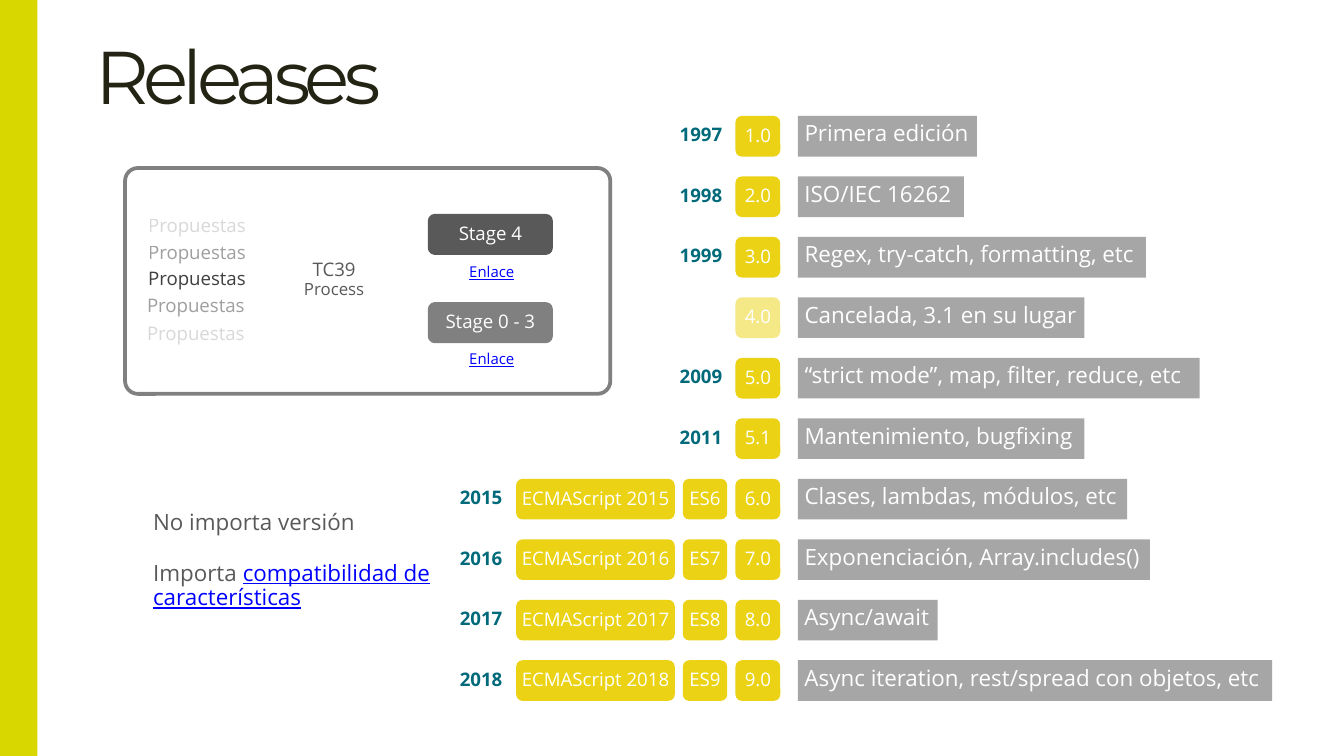
import pptx
import pptx.dml.color
import pptx.enum.shapes
import pptx.enum.text
import pptx.oxml
import pptx.oxml.ns
import pptx.util

Pt = pptx.util.Pt
RGB = pptx.dml.color.RGBColor.from_string
SHAPES = pptx.enum.shapes.MSO_SHAPE
ALIGN = pptx.enum.text.PP_ALIGN
ANCHOR = pptx.enum.text.MSO_ANCHOR

COLORS = {
    "stripe": "D8D800", "title": "242415", "version": "EBD215",
    "feature": "A6A6A6", "year": "006A7B", "white": "FFFFFF",
    "frame": "808080", "dark": "595959", "proposal": "404040", "link": "0000FF",
}
BODY_FONT = "Open Sans"
LINE_SPACING = 0.9
INSET = 3.6


def set_alpha(fill, percent):
    """Make a solid fill partly transparent."""
    color = fill._xPr.find(pptx.oxml.ns.qn("a:solidFill"))[0]
    alpha = pptx.oxml.parse_xml(f'<a:alpha {pptx.oxml.ns.nsdecls("a")}/>')
    alpha.set("val", str(percent * 1000))
    color.append(alpha)


def add_label(box, lines, color, fill=None, kind=None, corner=None, inset=INSET,
              align=ALIGN.CENTER, anchor=ANCHOR.MIDDLE, wrap=True, gap=0):
    """Add a text box or filled shape; each line is a list of (text, font values)."""
    lengths = [Pt(value) for value in box]
    if kind is None:
        shape = slide.shapes.add_textbox(*lengths)
    else:
        shape = slide.shapes.add_shape(kind, *lengths)
        shape.shadow.inherit = False
        shape.line.fill.background()
        shape.fill.solid()
        shape.fill.fore_color.rgb = RGB(COLORS[fill])
        if corner:
            shape.adjustments[0] = corner
    frame = shape.text_frame
    frame_values = {"word_wrap": wrap, "vertical_anchor": anchor}
    for side in ("left", "top", "right", "bottom"):
        frame_values[f"margin_{side}"] = Pt(inset)
    for name, value in frame_values.items():
        setattr(frame, name, value)
    for index, line in enumerate(lines):
        paragraph = frame.add_paragraph() if index else frame.paragraphs[0]
        paragraph.alignment = align
        paragraph.line_spacing = LINE_SPACING
        if index and gap:
            paragraph.space_before = Pt(gap)
        for text, values in line:
            run = paragraph.add_run()
            run.text = text
            run.font.color.rgb = RGB(COLORS[color])
            for name, value in {"name": BODY_FONT, "size": Pt(10), **values}.items():
                setattr(run.font, name, value)
            if run.font.underline:
                run.font.color.rgb = RGB(COLORS["link"])
    return shape


presentation = pptx.Presentation()
presentation.slide_width = Pt(720)
presentation.slide_height = Pt(405)
slide = presentation.slides.add_slide(presentation.slide_layouts[5])

# Title
title = slide.shapes.title
title_box = {"left": Pt(51), "top": Pt(0), "width": Pt(649.5), "height": Pt(64)}
for name, value in title_box.items():
    setattr(title, name, value)
title.text = "Releases"
title_frame = {
    "vertical_anchor": ANCHOR.BOTTOM, "auto_size": pptx.enum.text.MSO_AUTO_SIZE.NONE,
    "margin_left": 0, "margin_top": 0, "margin_right": 0, "margin_bottom": 0,
}
for name, value in title_frame.items():
    setattr(title.text_frame, name, value)
title_paragraph = title.text_frame.paragraphs[0]
title_paragraph.alignment = ALIGN.LEFT
title_run = title_paragraph.runs[0]
for name, value in {"name": "Montserrat", "size": Pt(40)}.items():
    setattr(title_run.font, name, value)
title_run.font.color.rgb = RGB(COLORS["title"])
title_run._r.get_or_add_rPr().set("spc", "-300")

# Stripe on the left edge
add_label((0, 0, 20, 405), [], "white", "stripe", SHAPES.RECTANGLE)

# Release timeline: year, version, edition, feature text, feature width
releases = [
    ("1997", "1.0", None, "Primera edición", 96),
    ("1998", "2.0", None, "ISO/IEC 16262", 89),
    ("1999", "3.0", None, "Regex, try-catch, formatting, etc", 186.5),
    (None, "4.0", None, "Cancelada, 3.1 en su lugar", 153.5),
    ("2009", "5.0", None, "“strict mode”, map, filter, reduce, etc", 215.3),
    ("2011", "5.1", None, "Mantenimiento, bugfixing", 153.5),
    ("2015", "6.0", "ES6", "Clases, lambdas, módulos, etc", 176.4),
    ("2016", "7.0", "ES7", "Exponenciación, Array.includes()", 188.6),
    ("2017", "8.0", "ES8", "Async/await", 75),
    ("2018", "9.0", "ES9", "Async iteration, rest/spread con objetos, etc", 254.2),
]
ROW_TOP, ROW_STEP, ROW_HEIGHT = 62.1, 32.4, 21.8
for row, (year, version, edition, feature, width) in enumerate(releases):
    top = ROW_TOP + row * ROW_STEP
    tags = [(version, 394, 24)]
    if edition:
        tags += [(edition, 365.8, 23.8), (f"ECMAScript {year}", 276.5, 85)]
    for text, left, tag_width in tags:
        tag = add_label((left, top, tag_width, ROW_HEIGHT), [[(text, {})]], "white",
                        "version", SHAPES.ROUNDED_RECTANGLE, 0.16, inset=0)
        if not year:
            set_alpha(tag.fill, 51)
    add_label((427.4, top, width, ROW_HEIGHT), [[(feature, {"size": Pt(12)})]], "white",
              "feature", SHAPES.RECTANGLE, align=ALIGN.LEFT, anchor=ANCHOR.TOP)
    if year:
        year_left = 246.2 if edition else 364
        add_label((year_left, top + 4.6, 23, 12.2), [[(year, {"bold": True})]], "year",
                  inset=0, wrap=False)

# Process frame
process = slide.shapes.add_shape(SHAPES.ROUNDED_RECTANGLE, Pt(67), Pt(90), Pt(260), Pt(121))
process.shadow.inherit = False
process.adjustments[0] = 0.057
process.fill.background()
process.line.color.rgb = RGB(COLORS["frame"])
process.line.width = Pt(2)

# Proposals, fading away from the middle one
proposals = [(71.3, 111.6, 20), (71.3, 126.3, 50), (71.3, 140.3, 100),
             (70.7, 154.3, 50), (70.7, 169.3, 20)]
for left, top, opacity in proposals:
    proposal = add_label((left, top, 68.4, 19.4), [[("Propuestas", {})]], "proposal")
    if opacity < 100:
        set_alpha(proposal.text_frame.paragraphs[0].runs[0].font.fill, opacity)

add_label((157, 134.8, 44, 30.5), [[("TC39", {})], [("Process", {"size": Pt(9)})]], "dark")

# Stages with their links
for text, top, link_top, fill in [("Stage 4", 114.6, 137.5, "dark"),
                                  ("Stage 0 - 3", 161.9, 184.3, "frame")]:
    add_label((229.2, top, 67, 22), [[(text, {})]], "white", fill,
              SHAPES.ROUNDED_RECTANGLE, 0.17)
    add_label((244, link_top, 39, 17.3),
              [[("Enlace", {"size": Pt(8), "underline": True})]], "link")

# Closing remark
remark = {"size": Pt(12)}
add_label((82, 273.6, 152.6, 58.3), [
    [("No importa versión", remark)],
    [("Importa ", remark),
     ("compatibilidad de características", {**remark, "underline": True})],
], "dark", inset=0, align=ALIGN.LEFT, anchor=ANCHOR.TOP, gap=14.5)

presentation.save("out.pptx")
